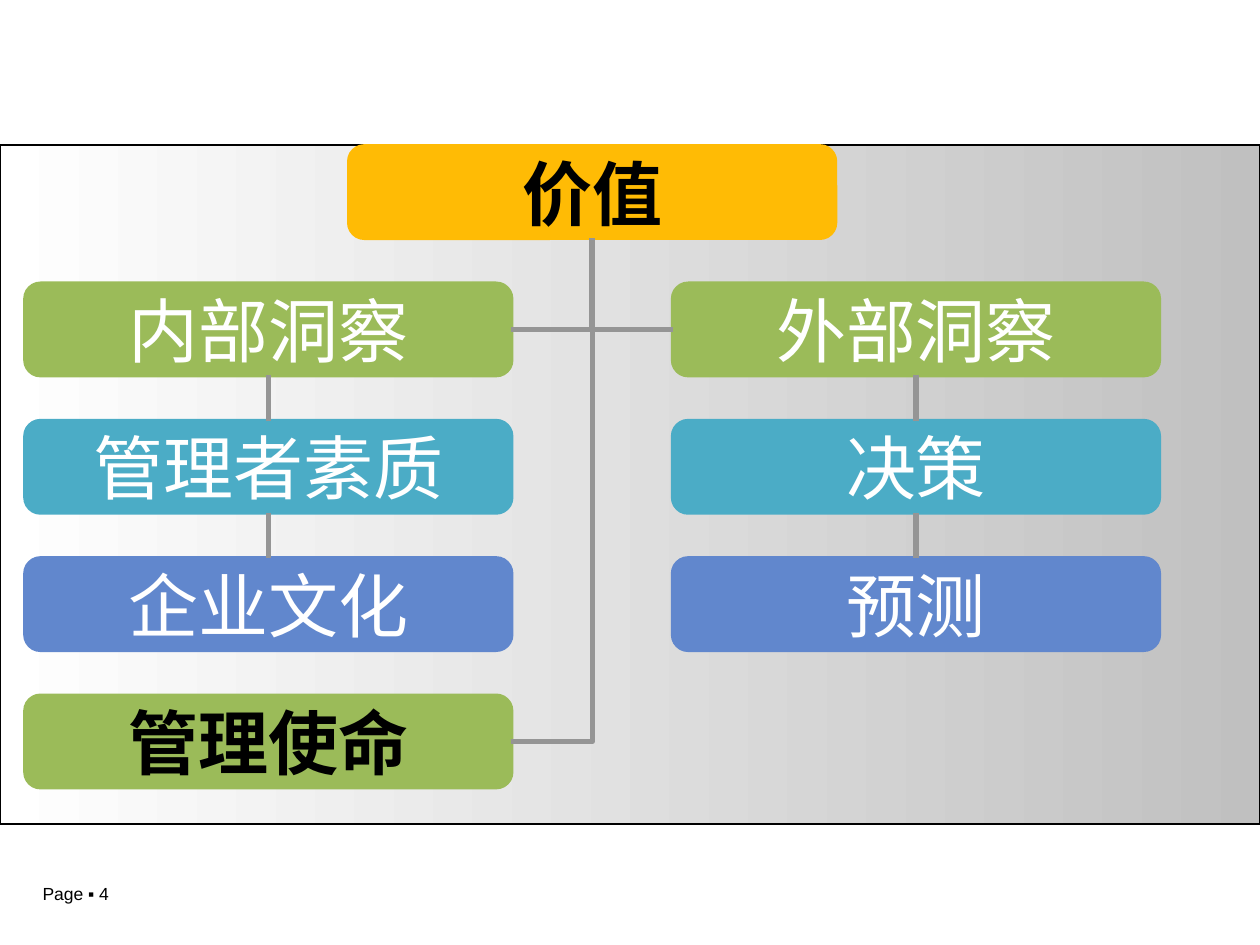
from lxml.etree import SubElement
from pptx import Presentation
from pptx.dml.color import RGBColor
from pptx.enum.shapes import MSO_CONNECTOR, MSO_SHAPE
from pptx.enum.text import MSO_ANCHOR, PP_ALIGN
from pptx.oxml.ns import qn
from pptx.util import Inches, Pt

BLACK = RGBColor(0x00, 0x00, 0x00)
WHITE = RGBColor(0xFF, 0xFF, 0xFF)
SILVER = RGBColor(0xC0, 0xC0, 0xC0)
GRAY = RGBColor(0x95, 0x95, 0x95)
AMBER = RGBColor(0xFF, 0xBB, 0x05)
GREEN = RGBColor(0x9B, 0xBB, 0x59)
TEAL = RGBColor(0x4B, 0xAC, 0xC6)
BLUE = RGBColor(0x61, 0x87, 0xCD)

FONT = "Arial"
LEFT, TOP = 0.2, 1.16
COLUMN_STEP, ROW_STEP = 2.57, 1.09
NODE_WIDTH, NODE_HEIGHT = 3.86, 0.73
TOP_SIDE, LEFT_SIDE, BOTTOM_SIDE, RIGHT_SIDE = range(4)

BRANCHES = [
    (0, RIGHT_SIDE, ["内部洞察", "管理者素质", "企业文化"]),
    (2, LEFT_SIDE, ["外部洞察", "决策", "预测"]),
]
LEVEL_COLORS = [GREEN, TEAL, BLUE]


def style_run(paragraph, size, color, bold=False):
    font = paragraph.runs[0].font
    font.name = FONT
    font.size = Pt(size)
    font.bold = bold
    font.color.rgb = color


def add_backdrop(slide):
    backdrop = slide.shapes.add_shape(
        MSO_SHAPE.RECTANGLE, 0, Inches(1.15), Inches(10), Inches(5.39))
    backdrop.shadow.inherit = False
    backdrop.fill.gradient()
    backdrop.fill.gradient_angle = 0
    for stop, color in zip(backdrop.fill.gradient_stops, (WHITE, SILVER)):
        stop.color.rgb = color
    backdrop.line.color.rgb = BLACK
    backdrop.line.width = Pt(0.75)


def add_page_label(slide):
    label = slide.shapes.add_textbox(
        Inches(0.24), Inches(6.96), Inches(1.47), Inches(0.27))
    label.text_frame.word_wrap = True
    label.text_frame.text = "Page ▪ 4"
    style_run(label.text_frame.paragraphs[0], 10, BLACK)


def add_node(slide, text, column, row, color, text_color=WHITE, bold=False):
    """Place a rounded box on the chart grid."""
    node = slide.shapes.add_shape(
        MSO_SHAPE.ROUNDED_RECTANGLE,
        Inches(LEFT + column * COLUMN_STEP), Inches(TOP + row * ROW_STEP),
        Inches(NODE_WIDTH), Inches(NODE_HEIGHT))
    node.shadow.inherit = False
    node.fill.solid()
    node.fill.fore_color.rgb = color
    node.line.color.rgb = color
    node.line.width = Pt(2.25)
    frame = node.text_frame
    frame.word_wrap = True
    frame.vertical_anchor = MSO_ANCHOR.MIDDLE
    frame.text = text
    paragraph = frame.paragraphs[0]
    paragraph.alignment = PP_ALIGN.CENTER
    style_run(paragraph, 40, text_color, bold)
    return node


def join(slide, child, child_side, parent, kind=MSO_CONNECTOR.STRAIGHT):
    """Link a child's side to the bottom of its parent."""
    link = slide.shapes.add_connector(kind, 0, 0, 0, 0)
    link.begin_connect(child, child_side)
    link.end_connect(parent, BOTTOM_SIDE)
    link.line.color.rgb = GRAY
    link.line.width = Pt(3)
    properties = link._element.spPr
    SubElement(properties, qn("a:effectLst"))
    if kind == MSO_CONNECTOR.ELBOW:  # a single corner instead of two
        properties.find(qn("a:prstGeom")).set("prst", "bentConnector2")


def main():
    presentation = Presentation()
    presentation.slide_width = Inches(10)
    presentation.slide_height = Inches(7.5)
    slide = presentation.slides.add_slide(presentation.slide_layouts[6])

    add_backdrop(slide)
    add_page_label(slide)

    value = add_node(slide, "价值", 1, 0, AMBER, BLACK, bold=True)
    for column, inner_side, topics in BRANCHES:
        parent = value
        for row, (topic, color) in enumerate(zip(topics, LEVEL_COLORS), 1):
            node = add_node(slide, topic, column, row, color)
            if parent is value:
                join(slide, node, inner_side, value, MSO_CONNECTOR.ELBOW)
            else:
                join(slide, node, TOP_SIDE, parent)
            parent = node

    mission = add_node(slide, "管理使命", 0, 4, GREEN, BLACK, bold=True)
    join(slide, mission, RIGHT_SIDE, value, MSO_CONNECTOR.ELBOW)

    presentation.save("out.pptx")


if __name__ == "__main__":
    main()
